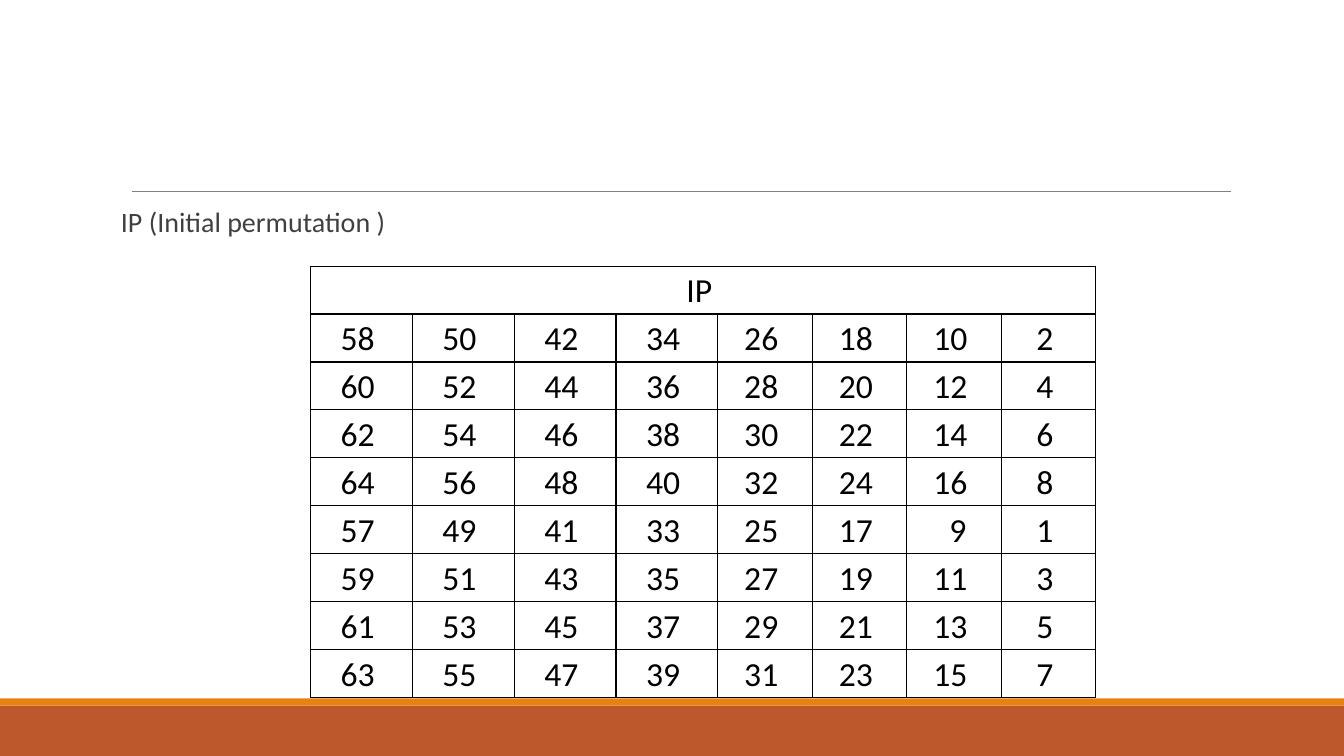
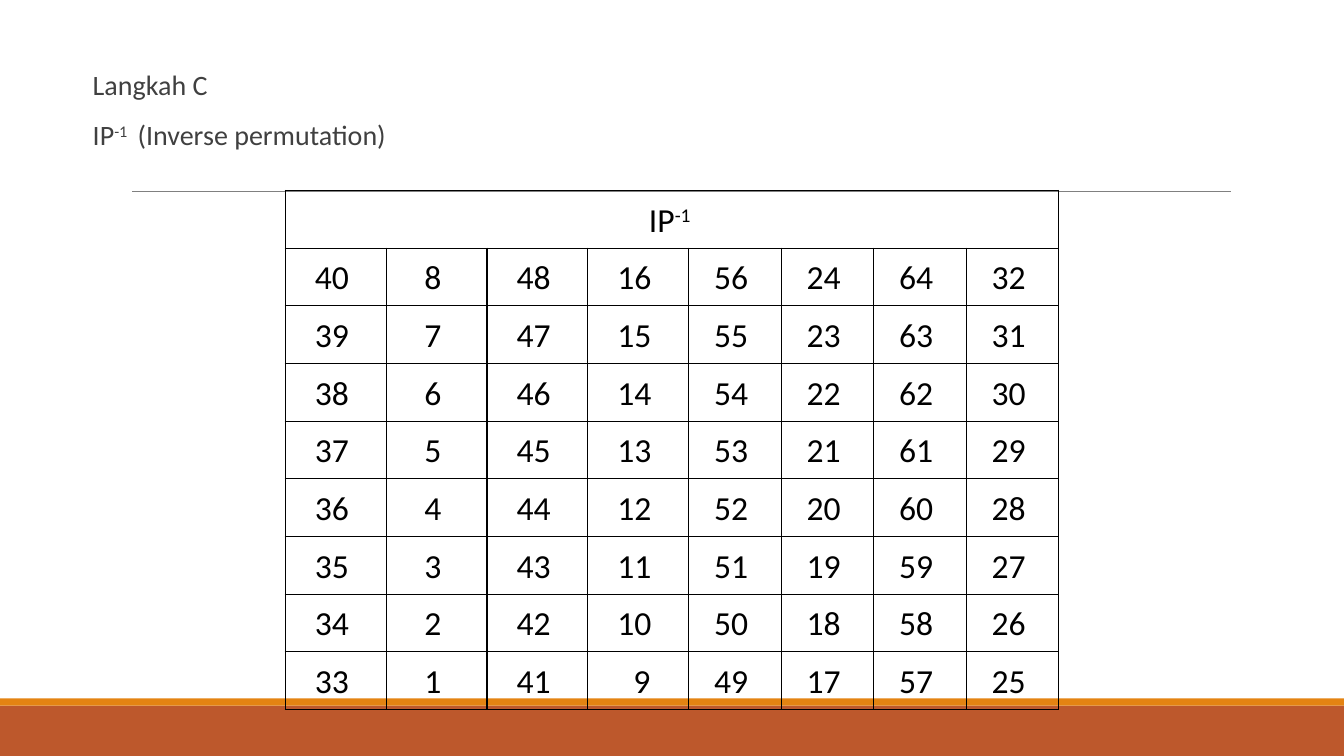
"""Build two slides showing the initial and inverse permutation tables."""
from lxml.etree import SubElement
from pptx import Presentation
from pptx.dml.color import RGBColor
from pptx.enum.shapes import MSO_CONNECTOR, MSO_SHAPE
from pptx.enum.text import MSO_ANCHOR, PP_ALIGN
from pptx.oxml.ns import qn
from pptx.util import Inches, Pt

COLORS = {"band": "BD582C", "stripe": "E48312", "rule": "808080",
          "body": "404040", "cell": "000000"}
FONT = "Calibri"
SIDES = ("a:lnL", "a:lnR", "a:lnT", "a:lnB")
BANDS = [("band", 7, 0.5), ("stripe", 6.93, 0.07)]

INITIAL_STARTS = (58, 60, 62, 64, 57, 59, 61, 63)
INVERSE_STARTS = (40, 8, 48, 16, 56, 24, 64, 32)

SLIDES = [
    {
        "body_at": (1.2, 2.02, 11, 4.4),
        "body": [[("IP (Initial permutation )", False)]],
        "table_at": (3.08, 2.64, 7.79, 4.28),
        "wide_column": 1.01,
        "heading": [("IP ", False)],
        "values": [[start - 8 * step for step in range(8)]
                   for start in INITIAL_STARTS],
    },
    {
        "body_at": (0.92, 0.66, 11.5, 6.1),
        "body": [[("Langkah C", False)],
                 [("IP", False), ("-1 ", True), (" (Inverse permutation)", False)]],
        "table_at": (2.83, 1.89, 7.67, 5.15),
        "wide_column": 1,
        "heading": [("IP", False), ("-1 ", True)],
        "values": [[start - step for start in INVERSE_STARTS]
                   for step in range(8)],
    },
]


def color(name):
    return RGBColor.from_string(COLORS[name])


def write(para, pieces, size, color_name):
    for text, raised in pieces:
        span = para.add_run()
        span.text = text
        span.font.size = Pt(size)
        span.font.name = FONT
        span.font.bold = False
        span.font.color.rgb = color(color_name)
        if raised:
            span._r.get_or_add_rPr().set("baseline", "30000")


def add_frame(page):
    for name, top, height in BANDS:
        band = page.shapes.add_shape(MSO_SHAPE.RECTANGLE, 0, Inches(top),
                                     deck.slide_width, Inches(height))
        band.shadow.inherit = False
        band.fill.solid()
        band.fill.fore_color.rgb = color(name)
        band.line.fill.background()
    rule = page.shapes.add_connector(MSO_CONNECTOR.STRAIGHT, Inches(1.31), Inches(1.9),
                                     Inches(12.21), Inches(1.9))
    rule.line.color.rgb = color("rule")
    rule.line.width = Pt(0.5)
    SubElement(rule._element.spPr, qn("a:effectLst"))


def add_body(page, place, lines):
    frame = page.shapes.add_textbox(*map(Inches, place)).text_frame
    frame.word_wrap = True
    frame.margin_left = frame.margin_right = 0
    frame.margin_top = frame.margin_bottom = Inches(0.05)
    for index, pieces in enumerate(lines):
        para = frame.add_paragraph() if index else frame.paragraphs[0]
        para.line_spacing = 0.9
        para.space_before = Pt(12)
        para.space_after = Pt(2)
        write(para, pieces, 20, "body")


def style_cell(cell):
    cell.vertical_anchor = MSO_ANCHOR.MIDDLE
    cell.margin_left = cell.margin_right = Inches(0.01)
    cell.margin_top = cell.margin_bottom = Inches(0.01)
    properties = cell._tc.get_or_add_tcPr()
    for side in SIDES:
        border = SubElement(properties, qn(side), w=str(Pt(1)))
        fill = SubElement(border, qn("a:solidFill"))
        SubElement(fill, qn("a:srgbClr"), val=COLORS["cell"])
    cell.fill.background()


def fill_cell(cell, pieces):
    para = cell.text_frame.paragraphs[0]
    para.alignment = PP_ALIGN.CENTER
    para.line_spacing = 1.07
    write(para, pieces, 24, "cell")


def add_grid(page, place, wide, heading, values):
    rows, columns = len(values) + 1, len(values[0])
    width, height = place[2:]
    half = columns // 2
    narrow = (width - half * wide) / half
    table = page.shapes.add_table(rows, columns, *map(Inches, place)).table
    table.first_row = table.horz_banding = False
    for index, column in enumerate(table.columns):
        column.width = Inches(wide if index < half else narrow)
    for row in table.rows:
        row.height = Inches(height / rows)
    for cell in table.iter_cells():
        style_cell(cell)
    table.cell(0, 0).merge(table.cell(0, columns - 1))
    fill_cell(table.cell(0, 0), heading)
    for row, numbers in enumerate(values, 1):
        for column, number in enumerate(numbers):
            cell = table.cell(row, column)
            fill_cell(cell, [(f"{number} ", False)])
            if number == 9:
                cell.margin_left = Inches(0.16)


deck = Presentation()
deck.slide_width, deck.slide_height = Inches(13.33), Inches(7.5)
for content in SLIDES:
    page = deck.slides.add_slide(deck.slide_layouts[6])
    add_frame(page)
    add_body(page, content["body_at"], content["body"])
    add_grid(page, content["table_at"], content["wide_column"],
             content["heading"], content["values"])
deck.save("out.pptx")
